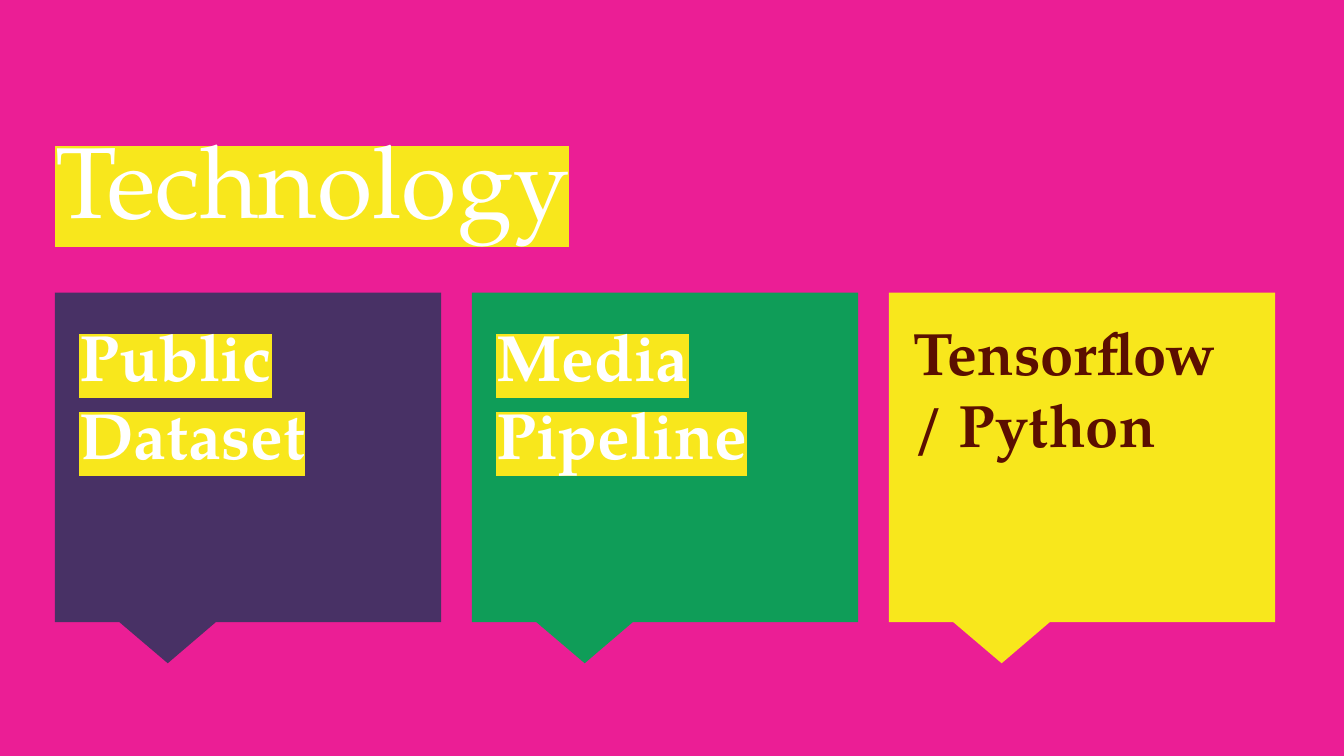
from lxml import etree
from pptx import Presentation
from pptx.dml.color import RGBColor
from pptx.enum import shapes, text
from pptx.oxml.ns import qn
from pptx.util import Cm, Pt

PINK = RGBColor(0xEB, 0x1E, 0x95)
PURPLE = RGBColor(0x48, 0x31, 0x65)
GREEN = RGBColor(0x0F, 0x9D, 0x58)
YELLOW = RGBColor(0xF8, 0xE7, 0x1C)
BROWN = RGBColor(0x5B, 0x0F, 0x00)
WHITE = RGBColor(0xFF, 0xFF, 0xFF)
FACE = "TeX Gyre Pagella"


def mark(run, color):
    """Put a highlight behind a run."""
    light = etree.SubElement(run._r.get_or_add_rPr(), qn("a:highlight"))
    etree.SubElement(light, qn("a:srgbClr")).set("val", str(color))


def write(frame, words, size, color, anchor, bold=False):
    """Fill a text frame with one highlighted paragraph."""
    frame.word_wrap = True
    frame.auto_size = text.MSO_AUTO_SIZE.NONE
    frame.vertical_anchor = anchor
    frame.margin_left = frame.margin_right = Cm(0.25)
    frame.margin_top = frame.margin_bottom = Cm(0.25)
    para = frame.paragraphs[0]
    para.alignment = text.PP_ALIGN.LEFT
    mark(para.add_run(), YELLOW)
    para.runs[0].text = words
    font = para.font
    font.name, font.size, font.bold = FACE, Pt(size), bold
    font.color.rgb = color
    return para


def add_title(slide, words):
    """Place and fill the slide title."""
    title = slide.shapes.title
    title.left, title.top = Cm(0.79), Cm(1.93)
    title.width, title.height = Cm(23.95), Cm(2.84)
    write(title.text_frame, words, 54, WHITE, text.MSO_ANCHOR.BOTTOM)


def add_card(slide, left, words, fill, size, color):
    """Add a callout with its label."""
    card = slide.shapes.add_shape(
        shapes.MSO_SHAPE.RECTANGULAR_CALLOUT,
        Cm(left), Cm(5.53), Cm(7.3), Cm(6.23))
    card.adjustments[0], card.adjustments[1] = -0.208, 0.625
    card.shadow.inherit = False
    card.fill.solid()
    card.fill.fore_color.rgb = fill
    card.line.fill.background()
    label = slide.shapes.add_textbox(
        Cm(left + 0.21), Cm(5.72), Cm(6.88), Cm(5.56))
    para = write(label.text_frame, words, size, color,
                 text.MSO_ANCHOR.TOP, True)
    para.space_after = Pt(12)


def main():
    """Build the technology slide."""
    deck = Presentation()
    deck.slide_width, deck.slide_height = Cm(25.4), Cm(14.29)
    slide = deck.slides.add_slide(deck.slide_layouts[5])
    slide.background.fill.solid()
    slide.background.fill.fore_color.rgb = PINK
    add_title(slide, "Technology")
    cards = [
        ("Public Dataset", PURPLE, 35, WHITE),
        ("Media Pipeline", GREEN, 35, WHITE),
        ("Tensorflow / Python", YELLOW, 32, BROWN),
    ]
    for i, card in enumerate(cards):
        add_card(slide, 1.04 + 7.88 * i, *card)
    deck.save("out.pptx")


if __name__ == "__main__":
    main()
